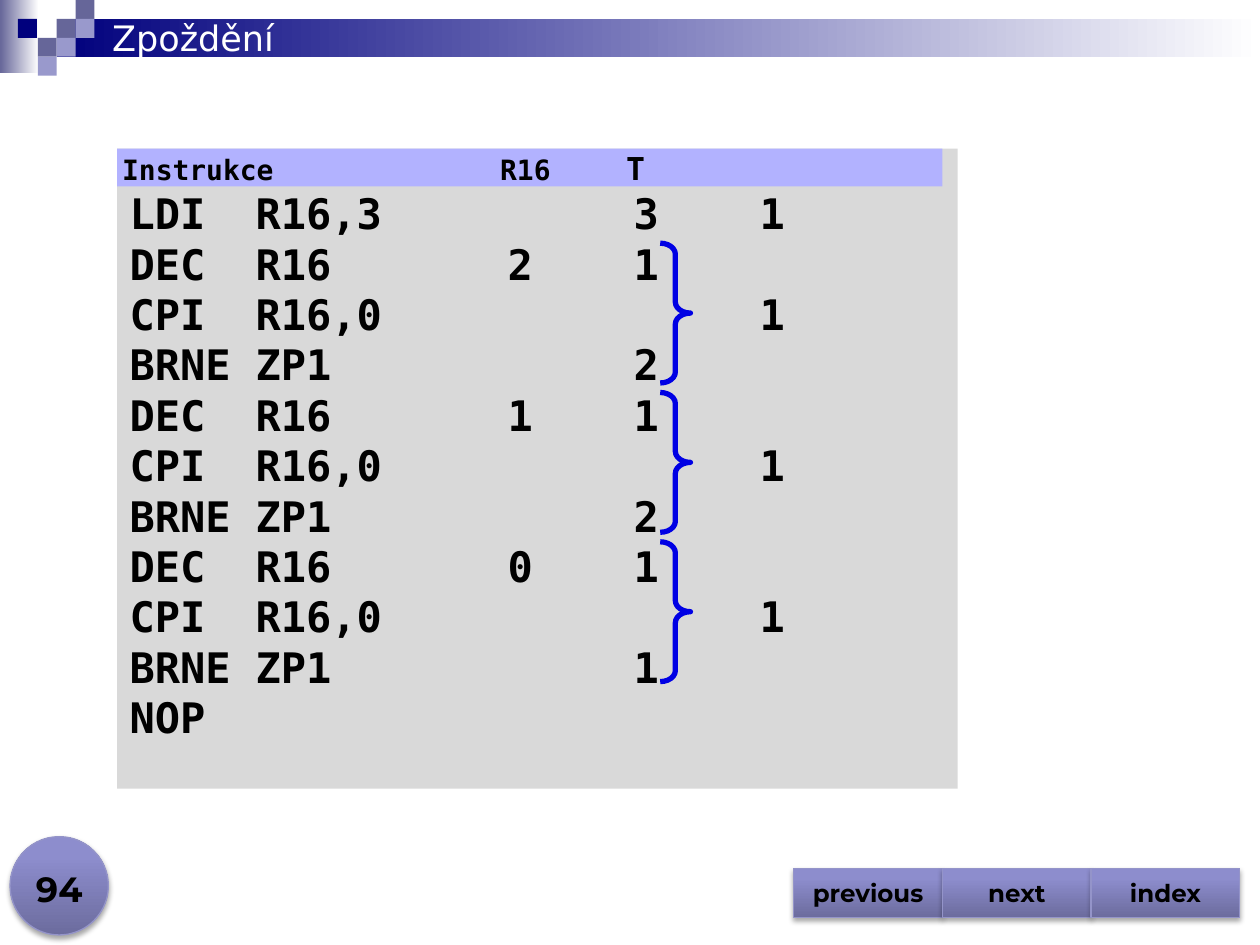
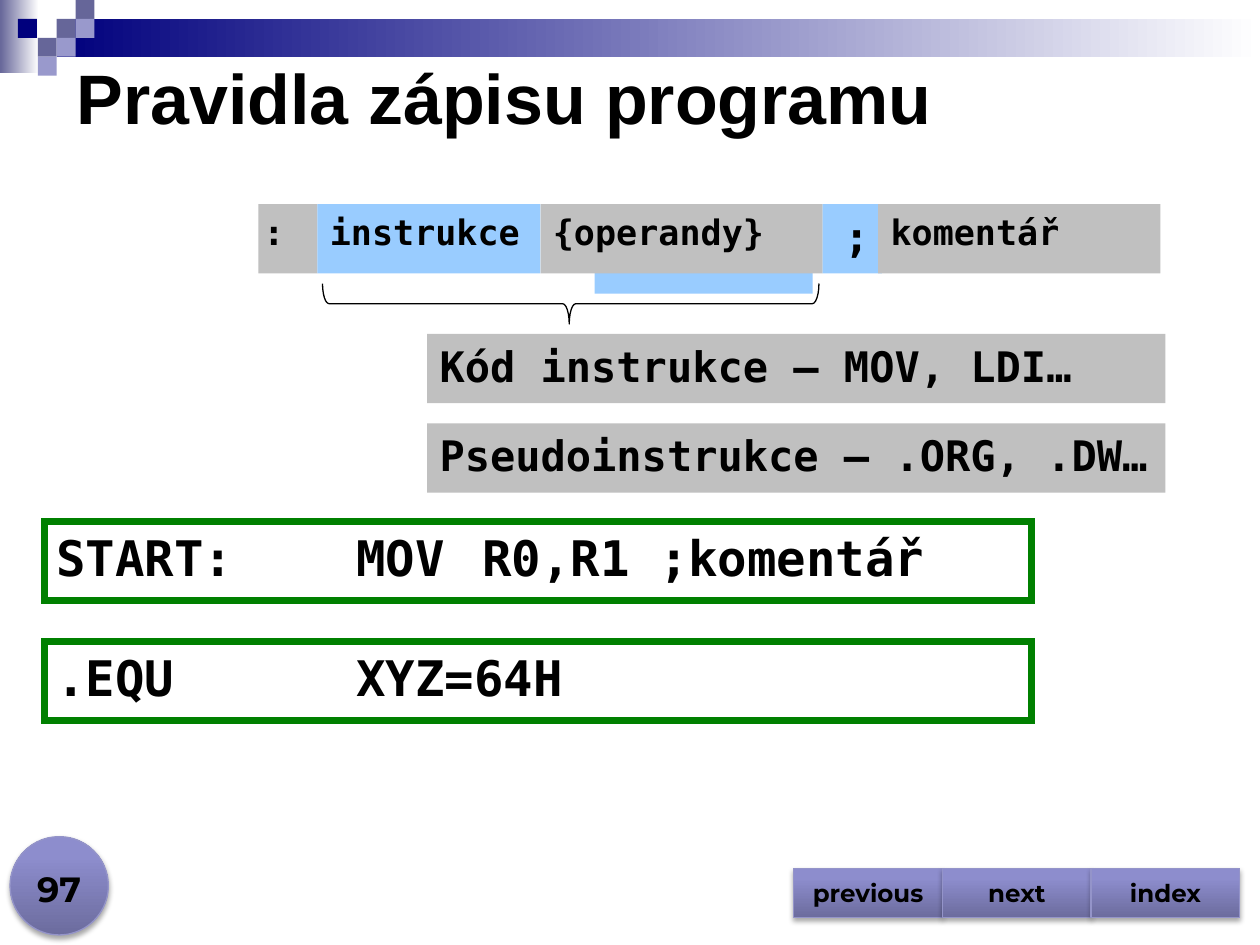
from pptx import Presentation, util as u
from pptx.dml.color import RGBColor
from pptx.enum import shapes, text
from pptx.oxml import parse_xml
from pptx.oxml.ns import nsdecls, qn

NAVY = RGBColor(0x00, 0x00, 0x7D)
SLATE = RGBColor(0x66, 0x66, 0x99)
LILAC = RGBColor(0x99, 0x99, 0xCC)
WHITE = RGBColor(0xFF, 0xFF, 0xFF)
BLACK = RGBColor(0x00, 0x00, 0x00)
BUTTON_EDGE = RGBColor(0x94, 0x94, 0xC9)
BUTTON_DARK = RGBColor(0x6C, 0x6C, 0x9E)
BUTTON_MID = RGBColor(0x8D, 0x8D, 0xCD)
BUTTON_TOP = RGBColor(0x8C, 0x8C, 0xCF)
CODE_GREY = RGBColor(0xD9, 0xD9, 0xD9)
HEADER_BLUE = RGBColor(0xB2, 0xB2, 0xFF)
BRACE_BLUE = RGBColor(0x00, 0x00, 0xE4)
FIELD_BLUE = RGBColor(0x99, 0xCC, 0xFF)
FIELD_GREY = RGBColor(0xC0, 0xC0, 0xC0)
GREEN = RGBColor(0x00, 0x80, 0x00)

MONO, NAV = "DejaVu Sans Mono", "Montserrat"
MS = shapes.MSO_SHAPE
LEFT, CENTER, RIGHT = text.PP_ALIGN.LEFT, text.PP_ALIGN.CENTER, text.PP_ALIGN.RIGHT
TOP, MIDDLE, BOTTOM = text.MSO_ANCHOR.TOP, text.MSO_ANCHOR.MIDDLE, text.MSO_ANCHOR.BOTTOM
BUTTON_FILL = (270, [(0, BUTTON_DARK), (80, BUTTON_MID), (100, BUTTON_TOP)])
SHADOW = (f'<a:outerShdw {nsdecls("a")} blurRad="39370" dist="22860" dir="5400000" rotWithShape="0">'
          '<a:srgbClr val="000000"><a:alpha val="35000"/></a:srgbClr></a:outerShdw>')


def box(s, at, fill=None, line=None, preset=MS.RECTANGLE):
    """Add a preset shape; fill is a colour or (clockwise angle, stops), line is (colour, points)."""
    sp = s.shapes.add_shape(preset, *[u.Inches(v) for v in at])
    sp.shadow.inherit = False
    if fill is None:
        sp.fill.background()
    elif isinstance(fill, RGBColor):
        sp.fill.solid()
        sp.fill.fore_color.rgb = fill
    else:
        angle, stops = fill
        sp.fill.gradient()
        sp.fill.gradient_angle = (360 - angle) % 360
        gs_list = sp._element.spPr.find(".//" + qn("a:gsLst"))
        for gs in list(gs_list):
            gs_list.remove(gs)
        for pos, color in stops:
            gs_list.append(parse_xml(f'<a:gs {nsdecls("a")} pos="{pos * 1000}">'
                                     f'<a:srgbClr val="{color}"/></a:gs>'))
    if line:
        sp.line.color.rgb, sp.line.width = line[0], u.Pt(line[1])
    else:
        sp.line.fill.background()
    return sp


def write(sp, lines, size, font=MONO, color=BLACK, bold=True, align=LEFT, anchor=TOP,
          ins=(0.1, 0.05, 0.1, 0.05), hang=0):
    """Fill a shape with one paragraph per line, on tab stops one inch apart."""
    tf = sp.text_frame
    frame = dict(zip(("margin_left", "margin_top", "margin_right", "margin_bottom"),
                     [u.Inches(v) for v in ins]),
                 word_wrap=True, auto_size=text.MSO_AUTO_SIZE.NONE, vertical_anchor=anchor)
    for name, value in frame.items():
        setattr(tf, name, value)
    for i, line in enumerate(lines):
        p = tf.add_paragraph() if i else tf.paragraphs[0]
        p.alignment = align
        pPr = p._p.get_or_add_pPr()
        for name, value in dict(marL=hang, indent=-hang, defTabSz=1).items():
            pPr.set(name, str(u.Inches(value)))
        r = p.add_run()
        r.text = line
        for name, value in dict(name=font, size=u.Pt(size), bold=bold).items():
            setattr(r.font, name, value)
        r.font.color.rgb = color


prs = Presentation()
prs.slide_width, prs.slide_height = u.Inches(10), u.Inches(7.5)
layout = prs.slide_layouts[5]

# Slides with their titles, page numbers and navigation
pages = [
    ("Zpoždění", "94", (0.79, 0.08, 8.5, 0.44), dict(size=20, font="DejaVu Sans", color=WHITE, bold=False)),
    ("Pravidla zápisu programu", "97", (0.51, 0.31, 8.5, 0.91), dict(size=40, font="Arial")),
]
for title, number, at, style in pages:
    s = prs.slides.add_slide(layout)
    t = s.shapes.title
    for name, value in zip(("left", "top", "width", "height"), at):
        setattr(t, name, u.Inches(value))
    write(t, [title], anchor=MIDDLE, **style)

    buttons = [box(s, (0.08, 6.64, 0.78, 0.78), BUTTON_FILL, (BUTTON_EDGE, 0.75), MS.OVAL)]
    for col, label in enumerate(("previous", "next", "index")):
        sp = box(s, (6.3 + 1.18 * col, 6.89, 1.18, 0.39), BUTTON_FILL, (BUTTON_EDGE, 0.75),
                 MS.ACTION_BUTTON_CUSTOM)
        write(sp, [label], 14, NAV, align=CENTER, anchor=MIDDLE)
        buttons.append(sp)
    for sp in buttons:
        sp._element.spPr.find(qn("a:effectLst")).append(parse_xml(SHADOW))
    sp = s.shapes.add_textbox(0, u.Inches(6.77), u.Inches(0.94), u.Inches(0.5))
    write(sp, [number], 20, NAV, align=CENTER, anchor=BOTTOM)

delay, rules = prs.slides

# Header band and squares, moved to the shared layout
CELL = 0.15
band = [box(delay, (0, 0, 0.31, 0.58), (0, [(0, SLATE), (100, WHITE)])),
        box(delay, (3 * CELL, CELL, 10 - 3 * CELL, 2 * CELL), (0, [(0, NAVY), (100, WHITE)]))]
squares = [(3, 1, SLATE), (4, 0, SLATE), (4, 1, LILAC), (2, 2, SLATE),
           (0.95, 1, NAVY), (3, 2, LILAC), (2, 3, LILAC)]
for col, row, color in squares:
    band.append(box(delay, (col * CELL, row * CELL, CELL, CELL), color))
for sp in band:
    layout.shapes._spTree.append(sp._element)

# Delay: instruction trace with one brace per loop pass
code = ["LDI\tR16,3\t\t3\t1"]
for r16, branch_cycles in ((2, 2), (1, 2), (0, 1)):
    code += [f"DEC\tR16\t\t{r16}\t1", "CPI\tR16,0\t\t\t1", f"BRNE\tZP1\t\t\t{branch_cycles}"]
code.append("NOP")
write(box(delay, (0.93, 1.18, 6.67, 5.08), CODE_GREY), code, 24, ins=(0.1, 0.31, 0.1, 0.31))

header = box(delay, (0.93, 1.18, 6.55, 0.3), HEADER_BLUE)
write(header, ["Instrukce\t\tR16\t"], 16, ins=(0.04, 0, 0.04, 0))
r = header.text_frame.paragraphs[0].add_run()
r.text = "T"
for name, value in dict(name=MONO, size=u.Pt(18), bold=True).items():
    setattr(r.font, name, value)
r.font.color.rgb = BLACK

for loop in range(3):
    brace = box(delay, (5.24, 1.93 + 1.185 * loop, 0.24, 1.11), None, (BRACE_BLUE, 3), MS.RIGHT_BRACE)
    brace.adjustments[0] = 0.363

# Rules: parts of a source line
HANG, ROW = 0.38, 0.55
box(rules, (4.72, 1.78, 1.73, ROW), FIELD_BLUE)
fields = [
    (":", 2.05, 0.47, FIELD_GREY, 20, LEFT, 0.04),
    ("instrukce", 2.52, 1.77, FIELD_BLUE, 20, LEFT, 0.1),
    ("{operandy}", 4.29, 2.24, FIELD_GREY, 20, LEFT, 0.1),
    (";", 6.53, 0.47, FIELD_BLUE, 24, RIGHT, 0.1),
    ("komentář", 6.97, 2.24, FIELD_GREY, 20, LEFT, 0.1),
]
for label, left, width, color, size, align, inset in fields:
    sp = box(rules, (left, 1.62, width, ROW), color)
    write(sp, [label], size, align=align, ins=(inset, 0.05, 0.1, 0.05), hang=HANG)

brace = box(rules, (4.37, 0.44, 0.32, 3.94), None, (BLACK, 0.75), MS.LEFT_BRACE)
brace.rotation = 270
brace.adjustments[0], brace.adjustments[1] = 0.164, 0.497

for row, label in enumerate(("Kód instrukce – MOV, LDI…", "Pseudoinstrukce – .ORG, .DW…")):
    sp = box(rules, (3.39, 2.65 + 0.71 * row, 5.86, ROW), FIELD_GREY)
    write(sp, [label], 24, hang=HANG)
for row, example in enumerate(("START:\tMOV\tR0,R1 ;komentář", ".EQU\t\tXYZ=64H")):
    sp = box(rules, (0.35, 4.14 + 0.95 * row, 7.84, 0.63), None, (GREEN, 4))
    sp.line._get_or_add_ln().append(parse_xml(f'<a:miter {nsdecls("a")} lim="800000"/>'))
    write(sp, [example], 28, hang=HANG)

prs.save("out.pptx")
